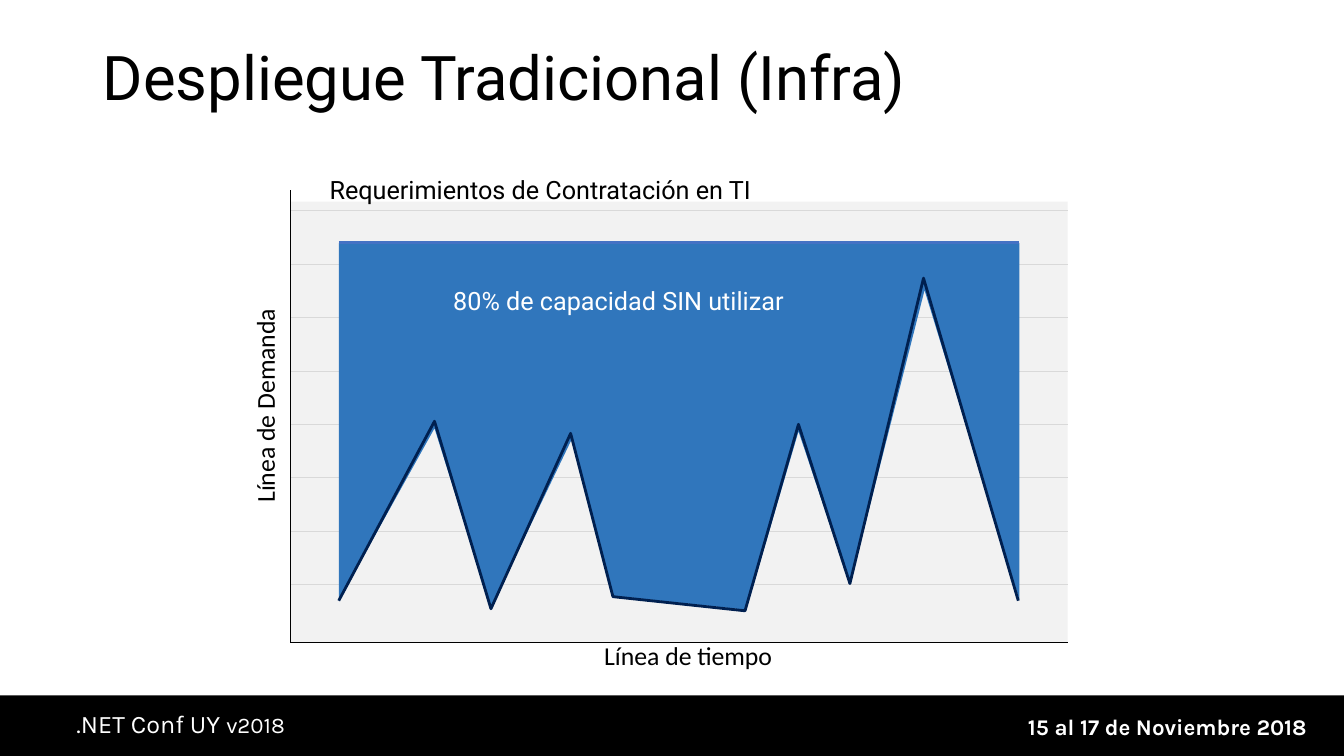
import pptx
import pptx.util
import pptx.dml.color
import pptx.enum.shapes
import pptx.enum.text
from lxml import etree

Inches = pptx.util.Inches
Pt = pptx.util.Pt
ALIGN = pptx.enum.text.PP_ALIGN
ANCHOR = pptx.enum.text.MSO_ANCHOR

TITLE = "Despliegue Tradicional (Infra)"
SLIDE_WIDTH, SLIDE_HEIGHT = 13.33, 7.5
FOOTER_TOP = 6.9
PLOT_LEFT, PLOT_TOP, PLOT_RIGHT, PLOT_BOTTOM = 2.88, 2, 10.59, 6.37
AXIS_TOP = 1.89
GRID_TOP, GRID_STEP, GRID_COUNT = 2.09, 0.53, 8
CAPACITY_LEFT, CAPACITY_RIGHT, CAPACITY_TOP = 3.36, 10.11, 2.41
UNUSED_EDGE = [(3.36, 5.96), (4.31, 4.25), (4.87, 6.03), (5.67, 4.36), (6.08, 5.91),
               (7.4, 6.05), (7.92, 4.28), (8.43, 5.8), (9.17, 2.88), (10.11, 5.95)]
DEMAND = [(3.36, 5.96), (4.31, 4.18), (4.87, 6.04), (5.66, 4.3), (6.08, 5.92),
          (7.39, 6.06), (7.92, 4.21), (8.43, 5.79), (9.16, 2.76), (10.1, 5.96)]
LABELS = [
    dict(runs=[("15 al 17 de Noviembre 2018", 16)], box=(9.16, 7.02, 3.9, 0.37),
         font="Karla", color="FFFFFF", align=ALIGN.RIGHT, bold=True),
    dict(runs=[(".NET Conf UY ", 18), ("v2018", 16)], box=(0.66, 6.98, 3.3, 0.4),
         font="Karla", color="FFFFFF"),
    dict(runs=[("Línea de Demanda", 18.4)], box=(1.38, 3.82, 2.49, 0.41),
         font="Calibri", align=ALIGN.CENTER, rotation=270),
    dict(runs=[("Línea de tiempo", 18.4)], box=(5.63, 6.29, 2.39, 0.41),
         font="Calibri", align=ALIGN.CENTER),
    dict(runs=[("Requerimientos de Contratación en TI", 18)], box=(3.17, 1.67, 5.14, 0.41),
         font="Roboto"),
    dict(runs=[("80% de capacidad SIN utilizar", 18)], box=(3.83, 2.78, 4.61, 0.41),
         font="Roboto", color="FFFFFF", align=ALIGN.CENTER),
]


def rgb(value):
    return pptx.dml.color.RGBColor.from_string(value)


def add_rectangle(slide, left, top, width, height, color):
    shape = slide.shapes.add_shape(pptx.enum.shapes.MSO_SHAPE.RECTANGLE, Inches(left),
                                   Inches(top), Inches(width), Inches(height))
    shape.shadow.inherit = False
    shape.fill.solid()
    shape.fill.fore_color.rgb = rgb(color)
    shape.line.fill.background()


def add_line(slide, start, end, color, width):
    line = slide.shapes.add_connector(pptx.enum.shapes.MSO_CONNECTOR.STRAIGHT,
                                      *map(Inches, start + end))
    line.line.color.rgb = rgb(color)
    line.line.width = Pt(width)
    etree.SubElement(line._element.spPr, pptx.oxml.ns.qn("a:effectLst"))


def add_outline(slide, points, close):
    corners = [(Inches(x), Inches(y)) for x, y in points]
    builder = slide.shapes.build_freeform(*corners[0])
    builder.add_line_segments(corners[1:], close=close)
    shape = builder.convert_to_shape()
    shape.shadow.inherit = False
    return shape


def add_label(slide, runs, box, font, color="000000", align=ALIGN.LEFT, bold=False, rotation=0):
    label = slide.shapes.add_textbox(*map(Inches, box))
    label.rotation = rotation
    frame = label.text_frame
    frame.word_wrap = True
    frame.vertical_anchor = ANCHOR.MIDDLE
    paragraph = frame.paragraphs[0]
    paragraph.alignment = align
    paragraph.font.name = font
    paragraph.font.bold = bold
    paragraph.font.color.rgb = rgb(color)
    for text, size in runs:
        run = paragraph.add_run()
        run.text = text
        run.font.size = Pt(size)


def add_title(slide):
    title = slide.shapes.title
    title.left, title.top, title.width, title.height = map(Inches, (0.92, 0.07, 11.5, 1.45))
    title.text_frame.text = TITLE
    title.text_frame.vertical_anchor = ANCHOR.MIDDLE
    paragraph = title.text_frame.paragraphs[0]
    paragraph.alignment = ALIGN.LEFT
    paragraph.line_spacing = 0.9
    paragraph.font.name = "Roboto"
    paragraph.font.size = Pt(44)
    paragraph.font.color.rgb = rgb("000000")


def add_demand_plot(slide):
    add_rectangle(slide, PLOT_LEFT, PLOT_TOP, PLOT_RIGHT - PLOT_LEFT,
                  PLOT_BOTTOM - PLOT_TOP, "F2F2F2")
    for index in range(GRID_COUNT):
        y = GRID_TOP + index * GRID_STEP
        add_line(slide, (PLOT_LEFT, y), (PLOT_RIGHT, y), "D9D9D9", 0.5)

    capacity_start, capacity_end = (CAPACITY_LEFT, CAPACITY_TOP), (CAPACITY_RIGHT, CAPACITY_TOP)
    unused = add_outline(slide, [capacity_start] + UNUSED_EDGE + [capacity_end], True)
    unused.fill.solid()
    unused.fill.fore_color.rgb = rgb("3076BC")
    unused.line.fill.background()

    origin = (PLOT_LEFT, PLOT_BOTTOM)
    add_line(slide, (PLOT_LEFT, AXIS_TOP), origin, "000000", 0.5)
    add_line(slide, origin, (PLOT_RIGHT, PLOT_BOTTOM), "000000", 0.5)

    demand = add_outline(slide, DEMAND, False)
    demand.fill.background()
    demand.line.color.rgb = rgb("002050")
    demand.line.width = Pt(2)
    add_line(slide, capacity_start, capacity_end, "4472C4", 2.25)


def main():
    presentation = pptx.Presentation()
    presentation.slide_width = Inches(SLIDE_WIDTH)
    presentation.slide_height = Inches(SLIDE_HEIGHT)
    slide = presentation.slides.add_slide(presentation.slide_layouts.get_by_name("Title Only"))
    add_rectangle(slide, 0, FOOTER_TOP, SLIDE_WIDTH, SLIDE_HEIGHT - FOOTER_TOP, "000000")
    add_title(slide)
    add_demand_plot(slide)
    for label in LABELS:
        add_label(slide, **label)
    presentation.save("out.pptx")


if __name__ == "__main__":
    main()
